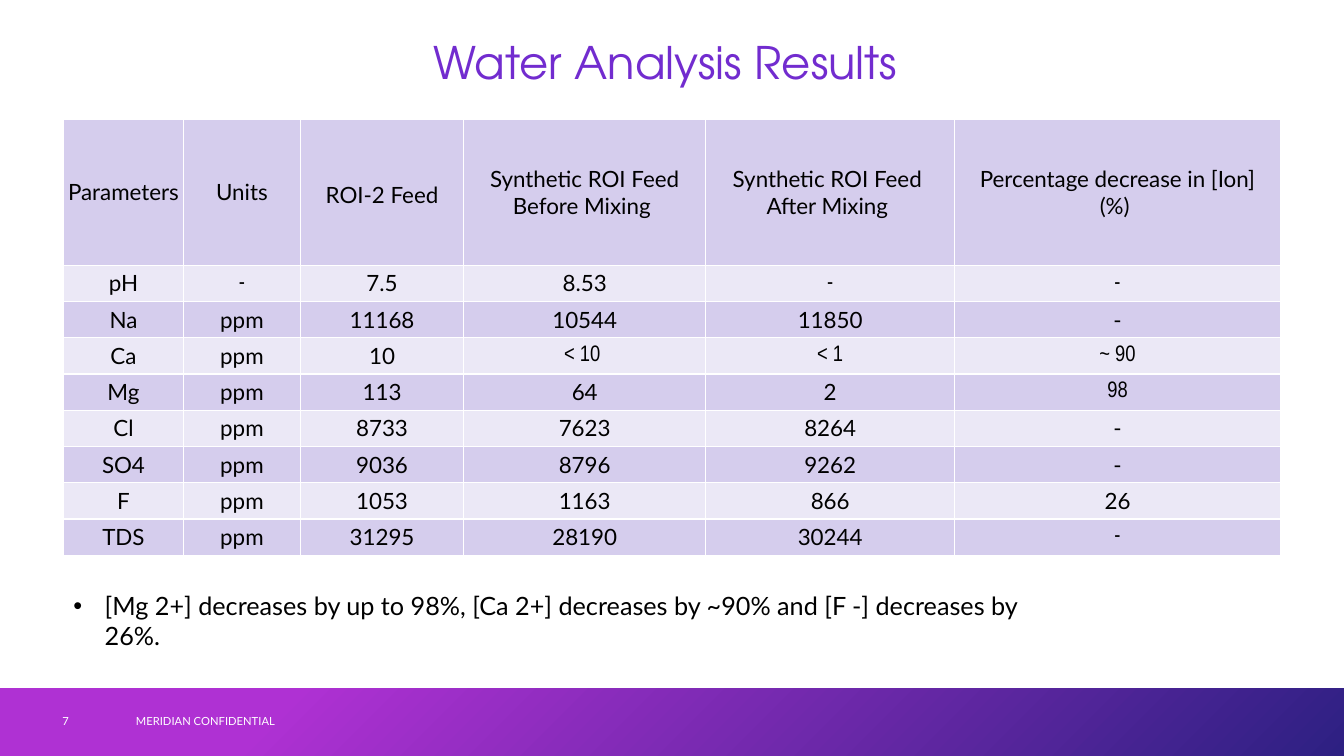
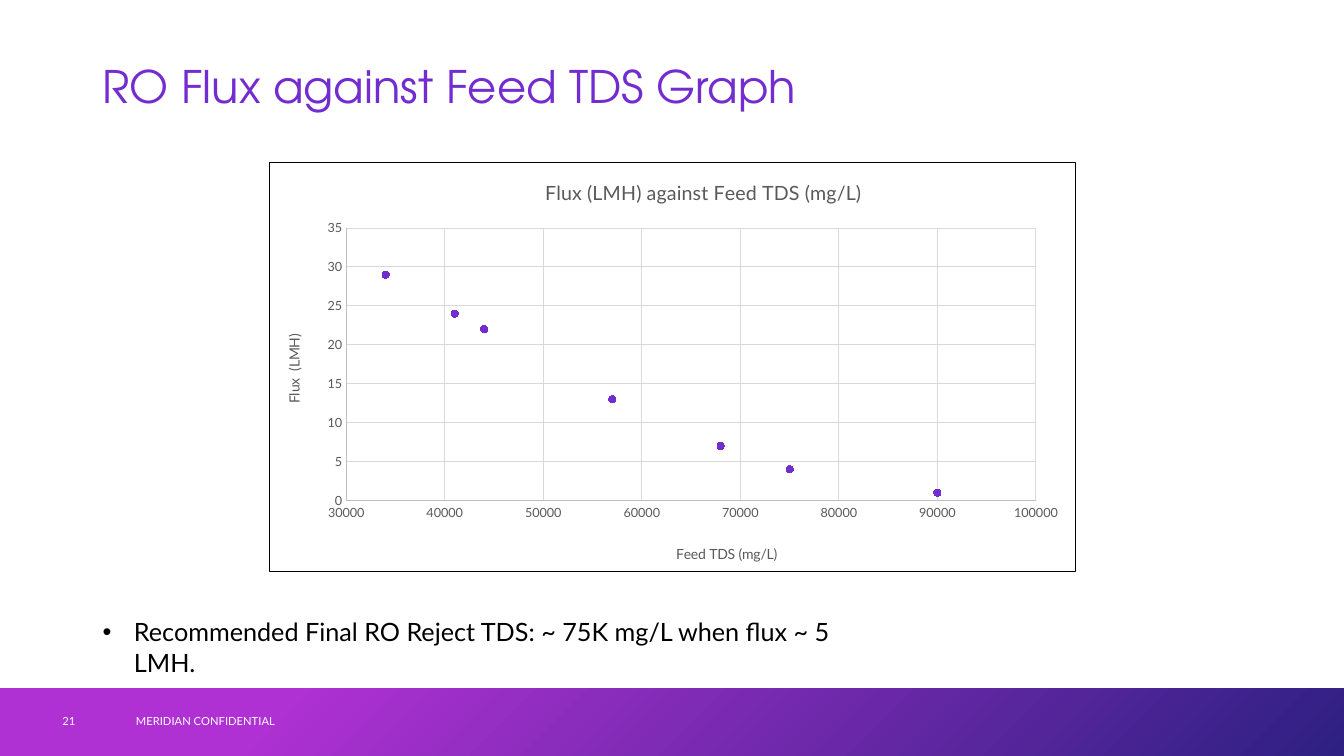
from dataclasses import dataclass

from lxml import etree
from pptx import Presentation
from pptx.chart.data import XyChartData
from pptx.dml.color import RGBColor
from pptx.enum import chart as charts, shapes, text
from pptx.oxml.ns import qn
from pptx.util import Inches, Pt


@dataclass(frozen=True)
class Theme:
    violet: str = "722CCF"
    band_start: str = "AF31D3"
    band_end: str = "2D2082"
    row_dark: str = "D5CDED"
    row_light: str = "EBE8F6"
    black: str = "000000"
    white: str = "FFFFFF"
    label: str = "595959"
    axis: str = "BFBFBF"
    grid: str = "D9D9D9"
    heading: str = "TeX Gyre Adventor"
    body: str = "Lato"
    narrow: str = "Arial Narrow"
    title_pt: int = 32
    body_pt: int = 18
    cell_pt: int = 16
    chart_title_pt: int = 14
    axis_title_pt: int = 10
    tick_pt: int = 9
    footer_pt: int = 8


THEME = Theme()
CENTER = text.PP_ALIGN.CENTER
MIDDLE = text.MSO_ANCHOR.MIDDLE

PARAMETERS = [
    ["Parameters", "Units", "ROI-2 Feed", "Synthetic ROI Feed\nBefore Mixing ",
     "Synthetic ROI Feed \nAfter Mixing ", "Percentage decrease in [Ion]\n(%) "],
    ["pH", "-", "7.5", "8.53", "-", "-"],
    ["Na", "ppm", "11168", "10544", "11850", "-"],
    ["Ca", "ppm", "10", "< 10 ", "< 1", "~ 90"],
    ["Mg", "ppm", "113", "64", "2", "98"],
    ["Cl", "ppm", "8733", "7623", "8264", "-"],
    ["SO4", "ppm", "9036", "8796", "9262", "-"],
    ["F", "ppm", "1053", "1163", "866", "26"],
    ["TDS", "ppm", "31295", "28190", "30244", "-"],
]
NARROW_CELLS = {(1, 1), (1, 4), (1, 5), (3, 3), (3, 4), (3, 5), (4, 5), (8, 5)}
COLUMN_WIDTHS = [1.19, 1.16, 1.62, 2.4, 2.47, 3.23]
HEADER_HEIGHT, ROW_HEIGHT = 1.45, 0.36

FLUX_BY_TDS = [(34000, 29), (41000, 24), (44000, 22), (57000, 13),
               (68000, 7), (75000, 4), (90000, 1)]


def rgb(value):
    return RGBColor.from_string(value)


def set_font(font, size, color, name=THEME.body):
    font.size, font.name, font.bold = Pt(size), name, False
    font.color.rgb = rgb(color)


def set_line(line, color, width=0.75):
    line.color.rgb = rgb(color)
    line.width = Pt(width)


def write(frame, words, *, size=THEME.body_pt, color=THEME.black, name=THEME.body,
          align=None, anchor=None, spacing=None, bullet=False):
    """Fill a text frame, one paragraph per line of words."""
    if anchor is not None:
        frame.vertical_anchor = anchor
    for index, line in enumerate(words.split("\n")):
        paragraph = frame.add_paragraph() if index else frame.paragraphs[0]
        if bullet:
            properties = paragraph._p.get_or_add_pPr()
            properties.set("marL", str(Inches(0.31)))
            properties.set("indent", str(-Inches(0.31)))
            etree.SubElement(properties, qn("a:buFont"), typeface="Arial")
            etree.SubElement(properties, qn("a:buChar"), char="•")
        if align is not None:
            paragraph.alignment = align
        if spacing:
            paragraph.line_spacing = spacing
        run = paragraph.add_run()
        run.text = line
        set_font(run.font, size, color, name)


def add_text(slide, box, words, **style):
    frame = slide.shapes.add_textbox(*map(Inches, box)).text_frame
    frame.word_wrap = True
    write(frame, words, **style)


def add_title(slide, box, words, align=None):
    add_text(slide, box, words, size=THEME.title_pt, color=THEME.violet,
             name=THEME.heading, align=align, anchor=MIDDLE, spacing=0.9)


def add_footer(slide, box, number):
    left, top, _, _ = box
    band = slide.shapes.add_shape(shapes.MSO_SHAPE.RECTANGLE, *map(Inches, box))
    band.shadow.inherit = False
    band.line.fill.background()
    band.fill.gradient()
    band.fill.gradient_angle = 315
    stops = ((0.21, THEME.band_start), (1, THEME.band_end))
    for stop, (position, color) in zip(band.fill.gradient_stops, stops):
        stop.position = position
        stop.color.rgb = rgb(color)
    for offset, width, words in ((0.52, 0.72, str(number)),
                                 (1.25, 4.5, "MERIDIAN CONFIDENTIAL")):
        add_text(slide, (left + offset, top + 0.12, width, 0.4), words,
                 size=THEME.footer_pt, color=THEME.white, anchor=MIDDLE)


def add_solid_line(parent, tag, color, width):
    line = etree.SubElement(parent, qn(tag), w=str(Pt(width)))
    fill = etree.SubElement(line, qn("a:solidFill"))
    etree.SubElement(fill, qn("a:srgbClr"), val=color)


def add_borders(cell, color):
    for side in ("a:lnL", "a:lnR", "a:lnT", "a:lnB"):
        add_solid_line(cell._tc.get_or_add_tcPr(), side, color, 1)


def add_analysis_table(slide, left, top):
    height = HEADER_HEIGHT + ROW_HEIGHT * (len(PARAMETERS) - 1)
    table = slide.shapes.add_table(
        len(PARAMETERS), len(COLUMN_WIDTHS), Inches(left), Inches(top),
        Inches(sum(COLUMN_WIDTHS)), Inches(height)).table
    for column, width in zip(table.columns, COLUMN_WIDTHS):
        column.width = Inches(width)
    for r, values in enumerate(PARAMETERS):
        table.rows[r].height = Inches(ROW_HEIGHT if r else HEADER_HEIGHT)
        for c, value in enumerate(values):
            cell = table.cell(r, c)
            cell.margin_left = cell.margin_right = 0
            cell.margin_top = cell.margin_bottom = 0
            cell.vertical_anchor = MIDDLE
            add_borders(cell, THEME.white)
            cell.fill.solid()
            cell.fill.fore_color.rgb = rgb(THEME.row_light if r % 2 else THEME.row_dark)
            write(cell.text_frame, value, size=THEME.cell_pt, align=CENTER,
                  name=THEME.narrow if (r, c) in NARROW_CELLS else THEME.body)
    table.cell(0, 2).margin_top = Inches(0.06)


def place_in_chart(element, chart_size, x, y, size=None):
    """Fix a chart part at x, y inches from the chart's corner."""
    for old in element.findall(qn("c:layout")):
        element.remove(old)
    layout = etree.Element(qn("c:layout"))
    manual = etree.SubElement(layout, qn("c:manualLayout"))
    if size:
        etree.SubElement(manual, qn("c:layoutTarget"), val="inner")
    for key in ("xMode", "yMode"):
        etree.SubElement(manual, qn(f"c:{key}"), val="edge")
    for key, length, whole in zip("xywh", (x, y, *(size or ())), chart_size * 2):
        etree.SubElement(manual, qn(f"c:{key}"), val=str(length / whole))
    element.insert(0 if element.find(qn("c:tx")) is None else 1, layout)


def add_chart_border(chart, color):
    properties = etree.Element(qn("c:spPr"))
    etree.SubElement(properties, qn("a:noFill"))
    add_solid_line(properties, "a:ln", color, 0.75)
    chart.element.find(qn("c:chart")).addnext(properties)


def format_axis(axis, words, low, high, step):
    axis.minimum_scale, axis.maximum_scale, axis.major_unit = low, high, step
    axis.major_tick_mark = axis.minor_tick_mark = charts.XL_TICK_MARK.NONE
    axis.has_major_gridlines = True
    set_line(axis.major_gridlines.format.line, THEME.grid)
    set_line(axis.format.line, THEME.axis)
    set_font(axis.tick_labels.font, THEME.tick_pt, THEME.label)
    write(axis.axis_title.text_frame, words, size=THEME.axis_title_pt, color=THEME.label)


def add_flux_chart(slide, box):
    data = XyChartData()
    points = data.add_series("Series 1")
    for tds, flux in FLUX_BY_TDS:
        points.add_data_point(tds, flux)
    chart = slide.shapes.add_chart(
        charts.XL_CHART_TYPE.XY_SCATTER, *map(Inches, box), data).chart
    set_font(chart.font, THEME.axis_title_pt, THEME.black)
    add_chart_border(chart, THEME.black)
    chart.has_legend = False
    chart.plots[0].vary_by_categories = False

    tds_axis, flux_axis = chart.category_axis, chart.value_axis
    write(chart.chart_title.text_frame, "Flux (LMH) against Feed TDS (mg/L)",
          size=THEME.chart_title_pt, color=THEME.label)
    format_axis(tds_axis, "Feed TDS (mg/L)", 30000, 100000, 10000)
    format_axis(flux_axis, "Flux  (LMH)", 0, 35, 5)

    chart_size = box[2:]
    place_in_chart(chart.chart_title.element, chart_size, 2.7, 0.12)
    place_in_chart(tds_axis.axis_title.element, chart_size, 4.01, 3.77)
    place_in_chart(flux_axis.axis_title.element, chart_size, 0.12, 1.68)
    place_in_chart(chart.element.find(".//" + qn("c:plotArea")), chart_size,
                   0.76, 0.65, size=(6.85, 2.71))

    series = chart.plots[0].series[0]
    series.smooth = False
    series.format.line.fill.background()
    series.marker.style = charts.XL_MARKER_STYLE.CIRCLE
    series.marker.size = 5
    series.marker.format.fill.solid()
    series.marker.format.fill.fore_color.rgb = rgb(THEME.violet)
    set_line(series.marker.format.line, THEME.violet)


def add_slide(deck, number):
    slide = deck.slides.add_slide(deck.slide_layouts[6])
    add_footer(slide, (0, 6.83, 13.33, 0.67), number)
    return slide


def build_water_analysis(deck):
    slide = add_slide(deck, 7)
    add_title(slide, (3.08, 0.31, 7.04, 0.67), "Water Analysis Results", CENTER)
    add_analysis_table(slide, 0.63, 1.18)
    add_text(slide, (0.63, 5.81, 9.59, 0.7),
             "[Mg 2+] decreases by up to 98%, [Ca 2+] decreases by ~90% "
             "and [F -] decreases by 26%.", bullet=True)


def build_flux_graph(deck):
    slide = add_slide(deck, 21)
    add_title(slide, (0.92, 0.55, 11.5, 0.67), "RO Flux against Feed TDS Graph")
    add_flux_chart(slide, (2.67, 1.61, 8, 4.07))
    add_text(slide, (0.92, 6.07, 7.48, 0.7),
             "Recommended Final RO Reject TDS: ~ 75K mg/L when flux ~ 5 LMH.", bullet=True)


def main():
    deck = Presentation()
    deck.slide_width, deck.slide_height = Inches(13.33), Inches(7.5)
    build_water_analysis(deck)
    build_flux_graph(deck)
    deck.save("out.pptx")


if __name__ == "__main__":
    main()
